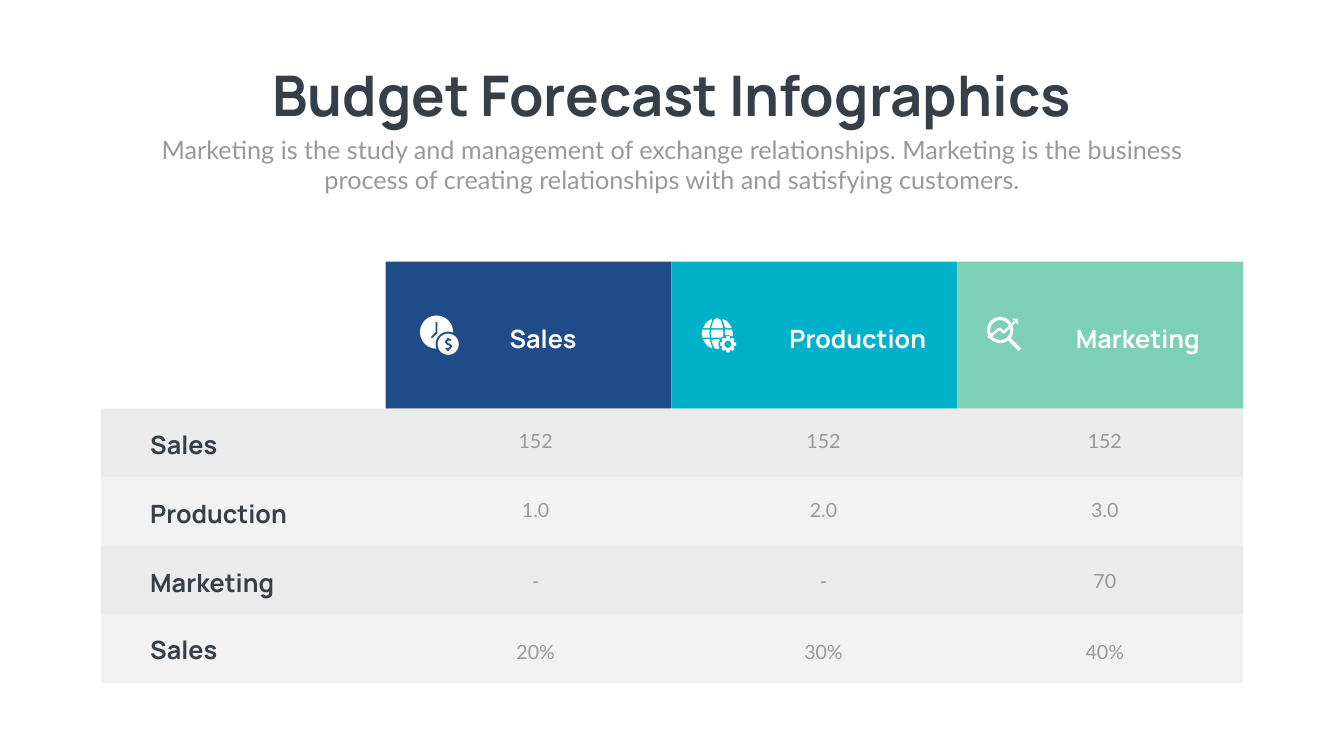
from math import cos, pi, sin

from pptx import Presentation, util as u
from pptx.dml.color import RGBColor
from pptx.enum import shapes, text

PX = 9144  # 100 px to the inch
NAVY = RGBColor(0x1F, 0x4C, 0x89)
CYAN = RGBColor(0x01, 0xB1, 0xCA)
MINT = RGBColor(0x7D, 0xCF, 0xB5)
WHITE = RGBColor(0xFF, 0xFF, 0xFF)
INK = RGBColor(0x36, 0x3E, 0x48)
GREY = RGBColor(0x99, 0x99, 0x99)
BANDS = (RGBColor(0xEB, 0xEB, 0xEB), RGBColor(0xF2, 0xF2, 0xF2))

TITLE = "Budget Forecast Infographics"
SUBTITLE = ("Marketing is the study and management of exchange relationships. "
            "Marketing is the business process of creating relationships with "
            "and satisfying customers.")
# heading, colour, heading left, value left
COLUMNS = [
    ("Sales", NAVY, 1005, 912),
    ("Production", CYAN, 1560, 1483),
    ("Marketing", MINT, 2128, 2041),
]
# label, label top, values, values top
ROWS = [
    ("Sales", 846, ("152", "152", "152"), 846),
    ("Production", 983, ("1.0", "2.0", "3.0"), 983),
    ("Marketing", 1120, ("-", "-", "70"), 1123),
    ("Sales", 1252, ("20%", "30%", "40%"), 1264),
]
TABLE_LEFT, TABLE_WIDTH = 200, 2266
COLUMN_LEFT, COLUMN_WIDTH = 765, 567
HEAD_TOP, HEAD_HEIGHT, ROW_HEIGHT = 519, 292, 136

# Icon strokes
CLOCK_HANDS = [(866, 639), (866, 660), (856, 670)]
DOLLAR = [(895, 674), (888, 674), (884, 678), (888, 683), (891, 683),
          (895, 687), (891, 692), (884, 692)]
DOLLAR_BARS = [[(889, 670), (889, 674)], [(889, 692), (889, 696)]]
TREND = [(1960, 670), (1983, 652), (1991, 660), (2013, 638)]
TREND_TIP = [(2007, 632), (2019, 632), (2019, 644)]
LENS_HANDLE = [(2002, 673), (2023, 694)]

# Globe segments around its centre
GLOBE_X, GLOBE_Y = 1423, 662
GLOBE_CORNER = [(1395, 650), (1399, 643), (1404, 637), (1412, 633), (1413, 635),
                (1410, 642), (1408, 650), (1407, 651), (1396, 651)]
GLOBE_SEGMENTS = [
    [(1411, 650), (1414, 640), (1418, 633), (1423, 631), (1428, 633),
     (1432, 640), (1434, 650), (1433, 651), (1412, 651)],
    [(1411, 654), (1434, 654), (1435, 662), (1434, 667), (1431, 670),
     (1411, 670), (1410, 662)],
    [(1411, 674), (1426, 673), (1428, 675), (1425, 680), (1425, 686),
     (1427, 689), (1427, 691), (1423, 693), (1418, 691), (1414, 684)],
    [(1393, 654), (1408, 654), (1407, 662), (1408, 670), (1393, 670), (1392, 662)],
    [(1438, 654), (1452, 654), (1454, 662), (1453, 667), (1451, 667),
     (1446, 665), (1439, 665), (1438, 662)],
    GLOBE_CORNER,
    [(2 * GLOBE_X - x, y) for x, y in GLOBE_CORNER],
    [(x, 2 * GLOBE_Y - y) for x, y in GLOBE_CORNER],
]

prs = Presentation()
prs.slide_width, prs.slide_height = 2666 * PX, 1500 * PX
slide = prs.slides.add_slide(prs.slide_layouts[6])


def paint(shape, fill=None, line=None, width=3):
    shape.shadow.inherit = False
    if fill is None:
        shape.fill.background()
    else:
        shape.fill.solid()
        shape.fill.fore_color.rgb = fill
    if line is None:
        shape.line.fill.background()
    else:
        shape.line.color.rgb = line
        shape.line.width = u.Pt(width)


def block(left, top, width, height, fill):
    box = (n * PX for n in (left, top, width, height))
    paint(slide.shapes.add_shape(shapes.MSO_SHAPE.RECTANGLE, *box), fill)


def disc(x, y, radius, **look):
    box = (n * PX for n in (x - radius, y - radius, 2 * radius, 2 * radius))
    paint(slide.shapes.add_shape(shapes.MSO_SHAPE.OVAL, *box), **look)


def outline(points, hole=None, close=False, **look):
    builder = slide.shapes.build_freeform(*points[0], scale=PX)
    builder.add_line_segments(points[1:], close=close)
    if hole:
        builder.move_to(*hole[0])
        builder.add_line_segments(hole[1:], close=True)
    paint(builder.convert_to_shape(), **look)


def write(words, left, top, width, height, font, size, color, bold=False,
          align=text.PP_ALIGN.CENTER, inset=None, wrap=True):
    box = slide.shapes.add_textbox(*(n * PX for n in (left, top, width, height)))
    frame = box.text_frame
    frame.word_wrap = wrap
    frame.auto_size = text.MSO_AUTO_SIZE.SHAPE_TO_FIT_TEXT
    if inset is not None:
        frame.margin_left = frame.margin_right = inset * PX
        frame.margin_top = frame.margin_bottom = inset * PX
    paragraph = frame.paragraphs[0]
    paragraph.text = words
    paragraph.alignment = align
    paragraph.font.name = font
    paragraph.font.size = u.Pt(size)
    paragraph.font.bold = bold
    paragraph.font.color.rgb = color


def label(words, left, top, color):
    write(words, left, top, 294, 72, "Manrope", 36, color, bold=True,
          align=text.PP_ALIGN.LEFT, inset=6)


def around(x, y, rim, count):
    """Repeat the (part of a step, radius) points of rim around a centre."""
    step = 2 * pi / count
    return [(x + r * cos((k + part) * step), y + r * sin((k + part) * step))
            for k in range(count) for part, r in rim]


# Title and subtitle
write(TITLE, 471, 115, 1723, 145, "Manrope", 80, INK, bold=True, wrap=False)
write(SUBTITLE, 292, 261, 2082, 131, "Lato", 36, GREY)

# Column headings
for i, (heading, color, heading_left, _) in enumerate(COLUMNS):
    block(COLUMN_LEFT + i * COLUMN_WIDTH, HEAD_TOP, COLUMN_WIDTH, HEAD_HEIGHT, color)
    label(heading, heading_left, 635, WHITE)

# Rows
for i, (name, name_top, values, values_top) in enumerate(ROWS):
    block(TABLE_LEFT, HEAD_TOP + HEAD_HEIGHT + i * ROW_HEIGHT,
          TABLE_WIDTH, ROW_HEIGHT, BANDS[i % 2])
    label(name, 292, name_top, INK)
    for value, (_, _, _, value_left) in zip(values, COLUMNS):
        write(value, value_left, values_top, 301, 57, "Lato", 28, GREY)

# Clock and coin
disc(866, 659, 33, fill=WHITE)
outline(CLOCK_HANDS, line=NAVY, width=2.5)
disc(889, 683, 25, fill=NAVY)
disc(889, 683, 21, fill=WHITE)
for stroke in [DOLLAR, *DOLLAR_BARS]:
    outline(stroke, line=NAVY, width=2.5)

# Globe and gear
for segment in GLOBE_SEGMENTS:
    outline(segment, close=True, fill=WHITE)
teeth = [(-0.36, 13), (-0.22, 16), (0.22, 16), (0.36, 13)]
outline(around(1444, 683, teeth, 8), hole=around(1444, 683, [(0, 7)], 24),
        close=True, fill=WHITE)

# Magnifier with trend
disc(1984, 655, 23, line=WHITE, width=4.5)
outline(LENS_HANDLE, line=WHITE, width=5)
outline(TREND, line=WHITE, width=3.5)
outline(TREND_TIP, close=True, fill=WHITE)

prs.save("out.pptx")
